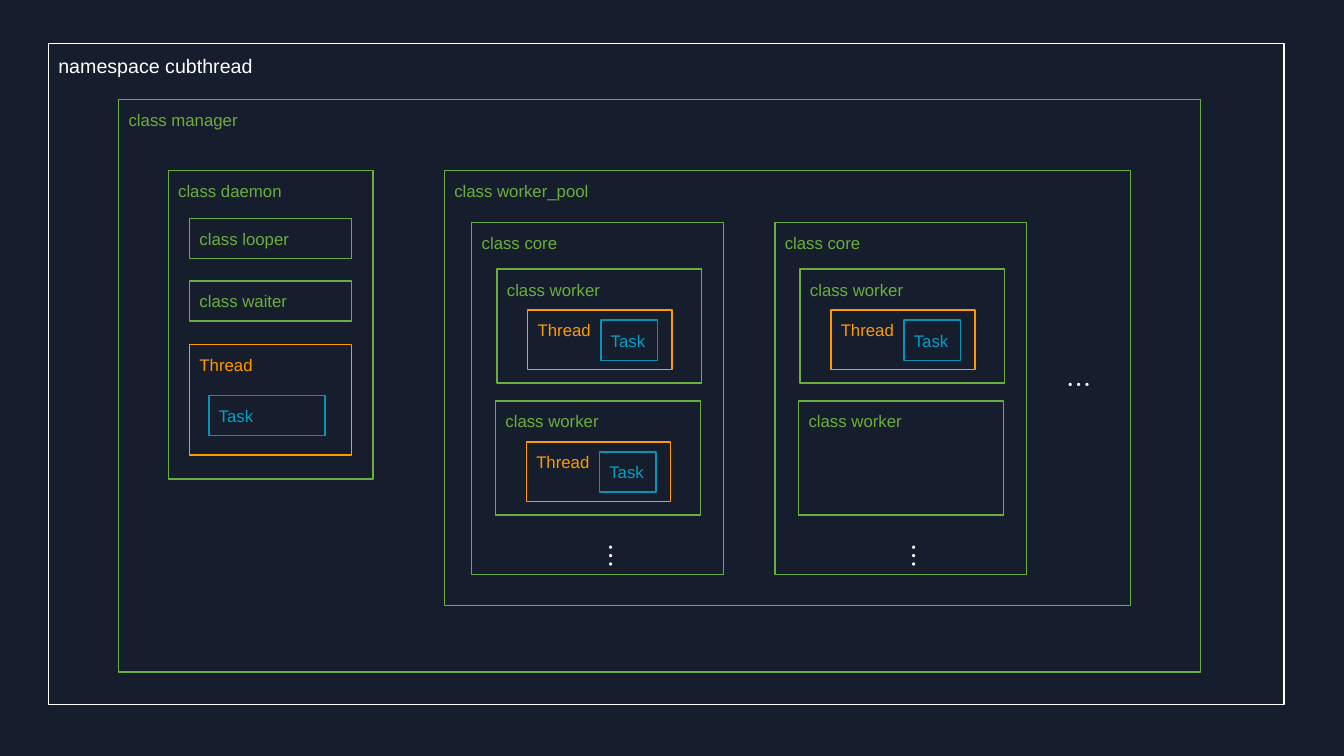
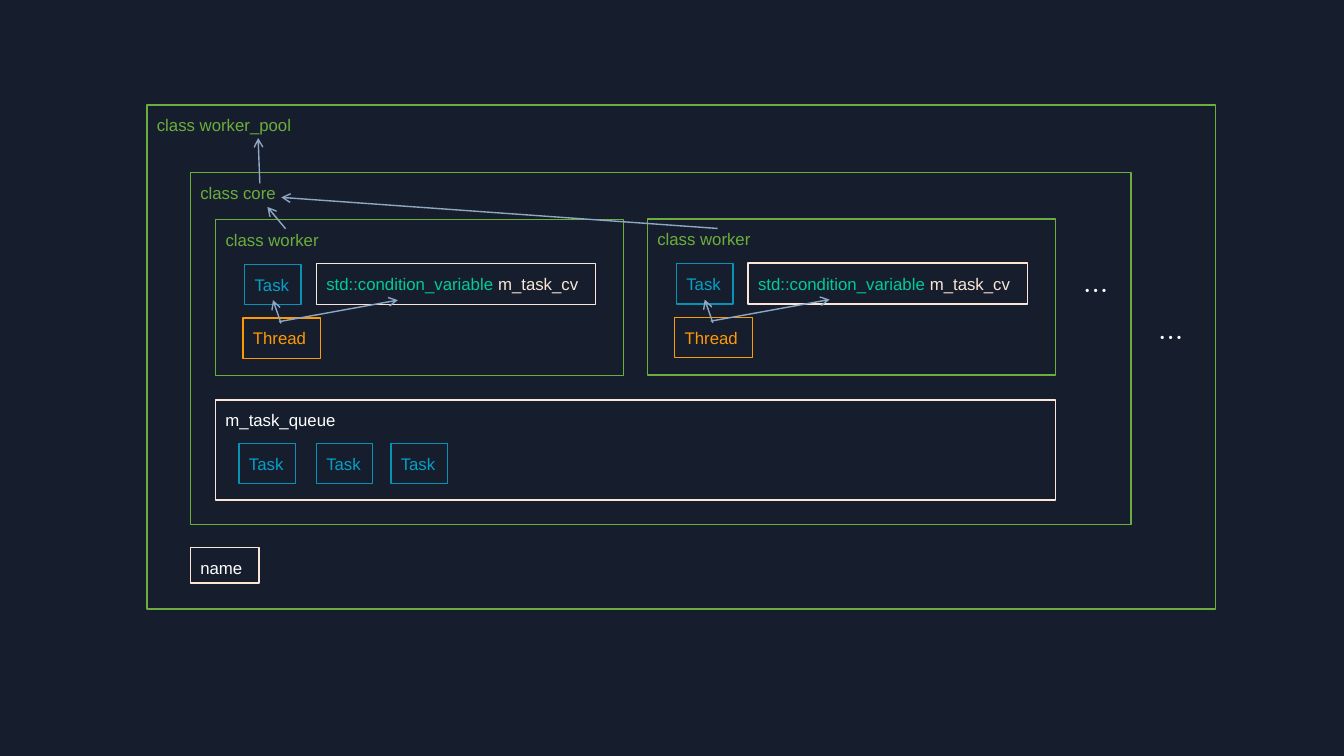
from lxml.etree import SubElement
from pptx import Presentation
from pptx.dml.color import RGBColor
from pptx.enum.shapes import MSO_CONNECTOR, MSO_SHAPE
from pptx.enum.text import MSO_ANCHOR, MSO_AUTO_SIZE, PP_ALIGN
from pptx.oxml.ns import qn
from pptx.util import Pt

NAVY, WHITE, CREAM = "161E2D", "FFFFFF", "FBE5D6"
GREEN, ORANGE, MINT, ARROW = "6BAE3D", "FF9902", "00CC99", "8FA7C4"
TASK_LINE, TASK_TEXT = "0792B6", "04A0C7"
FONT, DOTS_FONT = "Arial", "Noto Sans CJK KR"
TASK_SIZE = (40.3, 28.8)


def rgb(value):
    """Return the colour for a hex string."""
    return RGBColor.from_string(value)


def style_run(r, color, size=12, name=FONT):
    """Set the font of one run."""
    r.font.size = Pt(size)
    r.font.name = name
    r.font.color.rgb = rgb(color)


def add_box(s, x, y, w, h, parts, line=GREEN, size=12):
    """Add an outlined box labelled with (text, colour) parts."""
    sp = s.shapes.add_shape(MSO_SHAPE.RECTANGLE, Pt(x), Pt(y), Pt(w), Pt(h))
    sp.shadow.inherit = False
    sp.fill.background()
    sp.line.color.rgb = rgb(line)
    sp.line.width = Pt(1)
    tf = sp.text_frame
    tf.word_wrap = True
    tf.vertical_anchor = MSO_ANCHOR.TOP
    tf.margin_left = tf.margin_right = tf.margin_top = Pt(7.2)
    tf.margin_bottom = Pt(3.6)
    p = tf.paragraphs[0]
    p.alignment = PP_ALIGN.LEFT
    for text, color in parts:
        r = p.add_run()
        r.text = text
        style_run(r, color, size)


def add_class(s, x, y, w, h, name):
    """Add a green class box."""
    add_box(s, x, y, w, h, [(f"class {name}", GREEN)])


def add_thread(s, x, y, w, h):
    """Add an orange thread box."""
    add_box(s, x, y, w, h, [("Thread", ORANGE)], ORANGE)


def add_task(s, x, y, w=TASK_SIZE[0], h=TASK_SIZE[1]):
    """Add a blue task box."""
    add_box(s, x, y, w, h, [("Task", TASK_TEXT)], TASK_LINE)


def add_dots(s, x, y, w=28.1, h=28.8, vertical=False):
    """Add an ellipsis, running down if vertical."""
    tf = s.shapes.add_textbox(Pt(x), Pt(y), Pt(w), Pt(h)).text_frame
    tf.text = "…"
    tf.word_wrap = False
    tf.auto_size = MSO_AUTO_SIZE.SHAPE_TO_FIT_TEXT
    if vertical:
        tf._txBody.bodyPr.set("vert", "eaVert")
    r = tf.paragraphs[0].runs[0]
    style_run(r, WHITE, 18, DOTS_FONT)
    SubElement(r.font._element, qn("a:ea")).set("typeface", DOTS_FONT)


def add_arrow(s, tip, tail):
    """Add an arrow that points at tip."""
    c = s.shapes.add_connector(MSO_CONNECTOR.STRAIGHT, *map(Pt, tip + tail))
    c.line.color.rgb = rgb(ARROW)
    c.line.width = Pt(1)
    SubElement(c.line._get_or_add_ln(), qn("a:headEnd")).set("type", "arrow")
    SubElement(c._element.spPr, qn("a:effectLst"))


def add_pool_worker(s, x, y, busy=True):
    """Add a worker, with its thread and task if busy."""
    add_class(s, x, y, 146.2, 81.4, "worker")
    if busy:
        add_thread(s, x + 22, y + 29.2, 103, 42.5)
        add_task(s, x + 74.2, y + 36.4)


def add_core(s, x, second_busy):
    """Add a core with two workers."""
    add_class(s, x, 159.1, 180, 251.3, "core")
    add_pool_worker(s, x + 18, 192.3)
    add_pool_worker(s, x + 17, 286.4, second_busy)
    add_dots(s, x + 78.4, 380.9, 36, 20.9, vertical=True)


def add_cv_worker(s, x, y, core_tip, core_tail):
    """Add a worker with its condition variable and arrows."""
    add_class(s, x, y, 291.6, 111.6, "worker")
    add_thread(s, x + 19.6, y + 70.4, 55.4, 28.8)
    add_task(s, x + 20.8, y + 32)
    add_box(s, x + 72, y + 31.6, 199.4, 29.2,
            [("std::condition_variable ", MINT), ("m_task_cv", CREAM)], CREAM)
    add_arrow(s, (x + 41, y + 57.6), (x + 46.8, y + 74.2))
    add_arrow(s, (x + 130.2, y + 57.6), (x + 45.3, y + 73))
    add_arrow(s, core_tip, core_tail)


def build_namespace(s):
    """Draw the classes of the namespace."""
    add_box(s, 34.6, 31, 882.7, 472.3, [("namespace cubthread", WHITE)], WHITE, 14)
    add_class(s, 84.8, 71.1, 772.6, 409, "manager")
    add_class(s, 120.2, 121.8, 146.2, 220.3, "daemon")
    for y, name in ((156.1, "looper"), (200.6, "waiter")):
        add_class(s, 135.4, y, 115.9, 28.8, name)
    add_thread(s, 135.4, 246.2, 115.9, 78.8)
    add_task(s, 149.2, 282.4, 83)
    add_class(s, 317.4, 121.8, 490.3, 310.7, "worker_pool")
    for x, second_busy in ((337, True), (553.5, False)):
        add_core(s, x, second_busy)
    add_dots(s, 754.6, 260.6)


def build_worker_pool(s):
    """Draw the worker pool in detail."""
    add_class(s, 105, 75, 763.2, 360, "worker_pool")
    add_class(s, 136, 123.2, 671.8, 251.3, "core")
    add_dots(s, 820.1, 226.8)
    add_arrow(s, (184.4, 98.6), (185.6, 131))
    add_cv_worker(s, 154, 156.8, (191, 147.8), (204, 163.4))
    add_dots(s, 766.8, 193)
    add_cv_worker(s, 462.4, 156.4, (200.9, 141), (512.6, 163.2))
    add_box(s, 154, 285.8, 599.8, 71.3, [("m_task_queue", WHITE)], CREAM)
    for x in (170.8, 226, 279.2):
        add_task(s, x, 316.8)
    add_box(s, 136, 391, 49, 25.4, [("name", WHITE)], CREAM)


def main():
    """Build and save the presentation."""
    prs = Presentation()
    prs.slide_width, prs.slide_height = Pt(960), Pt(540)
    fill = prs.slide_master.background.fill
    fill.solid()
    fill.fore_color.rgb = rgb(NAVY)
    for build in (build_namespace, build_worker_pool):
        build(prs.slides.add_slide(prs.slide_layouts[6]))
    prs.save("out.pptx")


if __name__ == "__main__":
    main()
